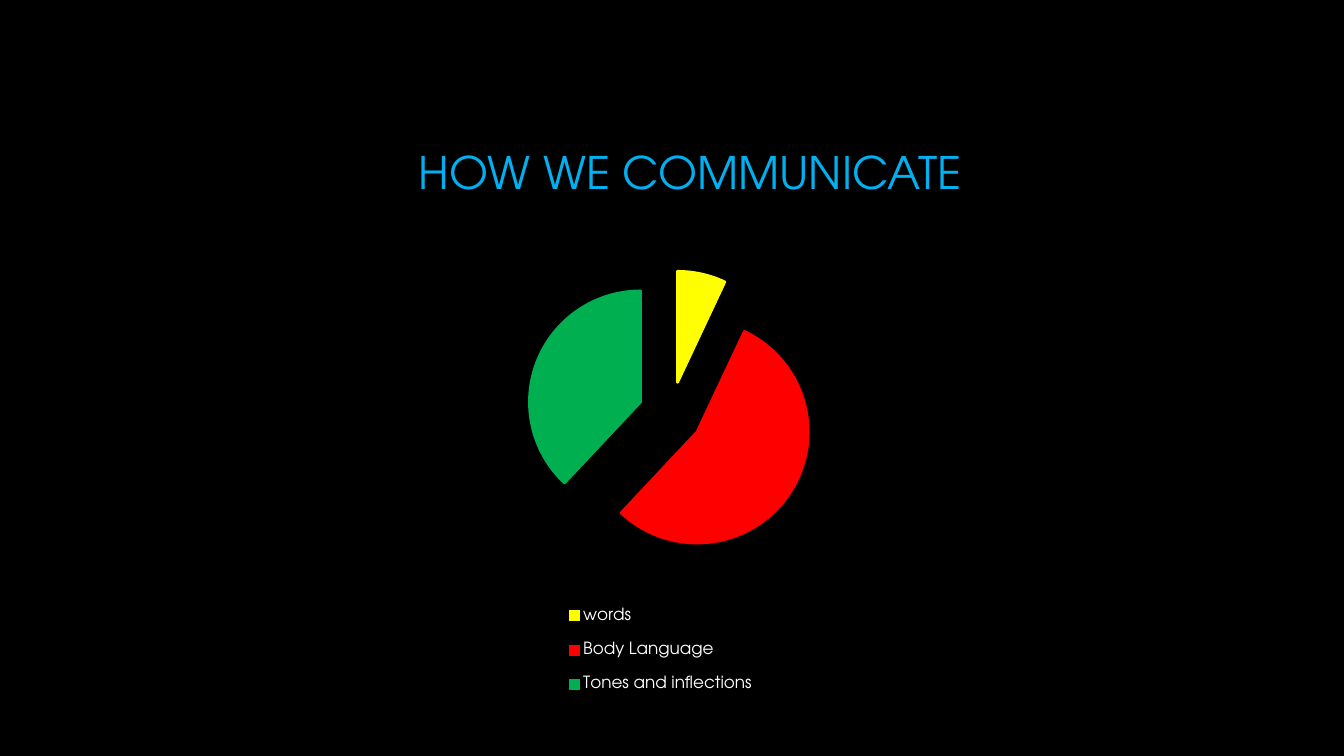
from typing import NamedTuple

from lxml import etree
from pptx import Presentation
from pptx import util as u
from pptx.chart.data import CategoryChartData
from pptx.dml.color import RGBColor
from pptx.enum import chart as ch, text
from pptx.oxml import parse_xml
from pptx.oxml.ns import nsdecls, qn

EMU_PER_PX = 12192000 / 1344
FONT = "TeX Gyre Adventor"
COLORS = {"black": "000000", "white": "FFFFFF", "blue": "00B0F0",
          "yellow": "FFFF00", "red": "FF0000", "green": "00B050"}


class Slice(NamedTuple):
    label: str
    value: int
    color: str


SLICES = [Slice("words", 7, "yellow"),
          Slice("Body Language", 55, "red"),
          Slice("Tones and inflections", 38, "green")]


def px(n: int) -> u.Emu:
    return u.Emu(round(n * EMU_PER_PX))


def rgb(name: str) -> RGBColor:
    return RGBColor.from_string(COLORS[name])


def set_font(font, size: int, color: str) -> None:
    for key, value in {"name": FONT, "size": u.Pt(size), "bold": False}.items():
        setattr(font, key, value)
    font.color.rgb = rgb(color)


def set_layout(parent, index: int, box: dict, inner: bool = False) -> None:
    """Place a chart part by fractions of the chart's width and height."""
    for old in parent.findall(qn("c:layout")):
        parent.remove(old)
    target = '<c:layoutTarget val="inner"/>' if inner else ""
    modes = "".join(f'<c:{k}Mode val="edge"/>' for k in "xy")
    sizes = "".join(f'<c:{k} val="{v}"/>' for k, v in box.items())
    parent.insert(index, parse_xml(
        f'<c:layout {nsdecls("c")}><c:manualLayout>{target}{modes}{sizes}'
        '</c:manualLayout></c:layout>'))


def add_title(slide) -> None:
    sp = slide.shapes.add_textbox(px(126), px(67), px(1092), px(210))
    tf = sp.text_frame
    tf.word_wrap = True
    tf.vertical_anchor = text.MSO_ANCHOR.MIDDLE
    p = tf.paragraphs[0]
    p._p.get_or_add_pPr().set("marL", str(px(283)))
    r = p.add_run()
    r.text = "HOW WE COMMUNICATE"
    set_font(r.font, 32, "blue")


def add_pie(slide) -> None:
    data = CategoryChartData()
    data.categories = [s.label for s in SLICES]
    data.add_series("Series 1", [s.value for s in SLICES])
    chart = slide.shapes.add_chart(ch.XL_CHART_TYPE.PIE, px(17), px(0),
                                   px(1327), px(756), data).chart
    chart.has_title = False
    set_font(chart.font, 10, "white")
    chart._chartSpace.find(qn("c:chart")).addnext(parse_xml(
        f'<c:spPr {nsdecls("c", "a")}><a:noFill/><a:ln><a:noFill/></a:ln></c:spPr>'))

    plot = chart.plots[0]
    plot.vary_by_categories = True
    set_layout(chart._chartSpace.chart.plotArea, 0,
               {"x": 0.235, "y": 0.358, "w": 0.515, "h": 0.379}, inner=True)
    series = plot.series[0]
    series.format.line.color.rgb = rgb("red")
    series.format.line.width = u.Pt(0.75)
    explosion = etree.Element(qn("c:explosion"), val="29")
    series._element.find(qn("c:spPr")).addnext(explosion)
    for i, s in enumerate(SLICES):
        fmt = series.points[i].format
        fmt.fill.solid()
        fmt.fill.fore_color.rgb = rgb(s.color)
        fmt.line.color.rgb = rgb(s.color)
        fmt.line.width = u.Pt(2)
        etree.SubElement(fmt.line._get_or_add_ln(), qn("a:round"))

    chart.has_legend = True
    legend = chart.legend
    legend.position = ch.XL_LEGEND_POSITION.BOTTOM
    legend.include_in_layout = False
    set_font(legend.font, 12, "white")
    set_layout(legend._element, 1, {"x": 0.41, "y": 0.78, "w": 0.15, "h": 0.16})


def main() -> None:
    prs = Presentation()
    prs.slide_width, prs.slide_height = px(1344), px(756)
    s = prs.slides.add_slide(prs.slide_layouts[6])
    s.background.fill.solid()
    s.background.fill.fore_color.rgb = rgb("black")
    add_title(s)
    add_pie(s)
    prs.save("out.pptx")


if __name__ == "__main__":
    main()
